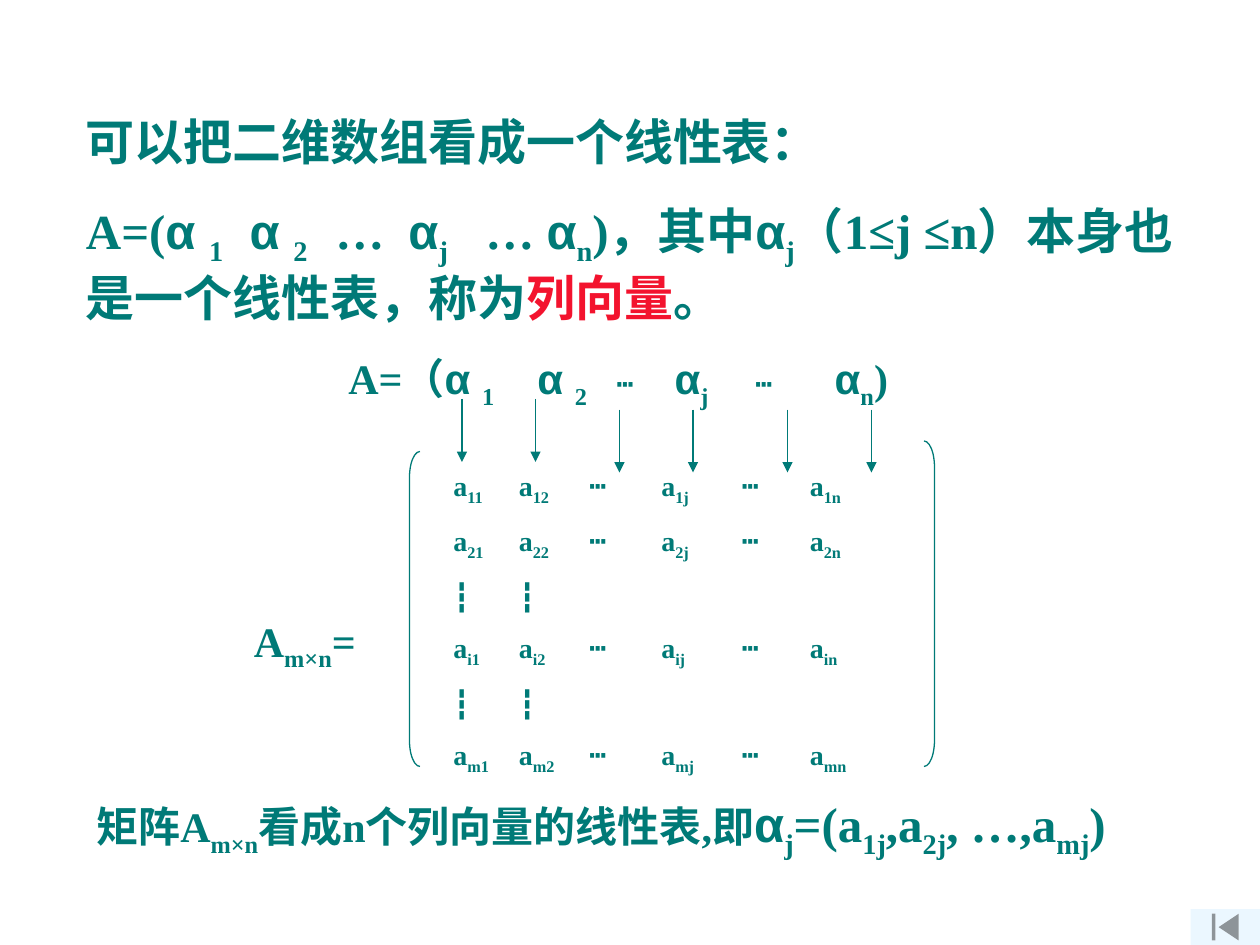
from lxml import etree
from pptx import Presentation
from pptx.dml.color import RGBColor
from pptx.enum.shapes import MSO_CONNECTOR, MSO_SHAPE
from pptx.oxml.ns import qn
from pptx.util import Inches, Pt

STRAIGHT = MSO_CONNECTOR.STRAIGHT
LEFT_BRACKET, RIGHT_BRACKET = MSO_SHAPE.LEFT_BRACKET, MSO_SHAPE.RIGHT_BRACKET
BACK_BUTTON = MSO_SHAPE.ACTION_BUTTON_BEGINNING

COLORS = {"teal": "007A77", "red": "F3132E", "button": "EBF7FF"}
LATIN, GREEK = "Times New Roman", "Arial"


def color(name):
    return RGBColor.from_string(COLORS[name])


def unit(cells):
    """The grid has 120 columns and 90 rows, twelve to the inch."""
    return Inches(cells / 12)


# Run styles: each is a dict that overrides the base style
def sub(text, **style):
    return text, {"sub": True, **style}


def alpha(index, gap="", **style):
    return [("α" + gap, {"font": GREEK, **style}), sub(index, **style)]


def entry(row, column):
    return ["a", sub(row + column)]


class MatrixSlide:
    def __init__(self, prs):
        self.shapes = prs.slides.add_slide(prs.slide_layouts[6]).shapes

    def text(self, box, paragraphs, size, space=0, tabs=()):
        frame = self.shapes.add_textbox(*map(unit, box)).text_frame
        frame.word_wrap = True
        for number, runs in enumerate(paragraphs):
            paragraph = frame.add_paragraph() if number else frame.paragraphs[0]
            if tabs:
                stops = etree.SubElement(paragraph._p.get_or_add_pPr(), qn("a:tabLst"))
                for stop in tabs:
                    etree.SubElement(stops, qn("a:tab"), pos=str(Inches(stop)), algn="l")
            if number:
                paragraph.space_before = Pt(space)
            for item in runs:
                words, style = (item, {}) if isinstance(item, str) else item
                self.run(paragraph, words, **{"size": size, **style})

    def run(self, paragraph, words, size, font=LATIN, ink="teal", sub=False):
        run = paragraph.add_run()
        run.text = words
        run.font.size, run.font.name, run.font.bold = Pt(size), font, True
        run.font.color.rgb = color(ink)
        if sub:
            run.font._element.set("baseline", "-25000")

    def bracket(self, kind, box):
        bracket = self.shapes.add_shape(kind, *map(unit, box))
        bracket.shadow.inherit = False
        bracket.adjustments[0] = 2.5
        bracket.fill.background()
        bracket.line.color.rgb = color("teal")
        bracket.line.width = Pt(0.75)

    def down_arrow(self, column, row, length=6):
        arrow = self.shapes.add_connector(
            STRAIGHT, unit(column), unit(row), unit(column), unit(row + length))
        arrow.line.color.rgb = color("teal")
        arrow.line.width = Pt(0.75)
        etree.SubElement(arrow.line._get_or_add_ln(), qn("a:tailEnd"), type="triangle")
        etree.SubElement(arrow._element.spPr, qn("a:effectLst"))

    def button(self, box):
        button = self.shapes.add_shape(BACK_BUTTON, *map(unit, box))
        button.shadow.inherit = False
        button.fill.solid()
        button.fill.fore_color.rgb = color("button")
        button.line.fill.background()


def matrix_row(row):
    cells = [entry(row, "1"), entry(row, "2"), ["┅"], entry(row, "j"), ["┅"], entry(row, "n")]
    return cells[0] + [run for cell in cells[1:] for run in ["\t", *cell]]


def main():
    prs = Presentation()
    prs.slide_width, prs.slide_height = unit(120), unit(90)
    slide = MatrixSlide(prs)

    # Return button in the corner
    slide.button((113.4, 86.6, 6.6, 3.4))

    # Matrix with its brackets and name
    slide.bracket(LEFT_BRACKET, (39, 43, 1, 30))
    slide.bracket(RIGHT_BRACKET, (88, 42, 1, 31))
    slide.text((23, 58, 15, 6.7), [["A", sub("m×n"), "="]], size=24)
    skipped_rows = ["┇\t┇"]
    slide.text((42, 44, 46, 30.5),
               [matrix_row("1"), matrix_row("2"), skipped_rows,
                matrix_row("i"), skipped_rows, matrix_row("m")],
               size=16, space=10, tabs=(0.52, 1.08, 1.65, 2.29, 2.83))

    # Row of column vectors, each pointing at its matrix column
    dots = ("\t┅\t", {"size": 16})
    slide.text((32, 33, 65, 6.7),
               [["A=（", *alpha("1", " "), "\t", *alpha("2", " "), dots,
                 *alpha("j"), dots, *alpha("n"), ")"]],
               size=24, tabs=(1.5, 2.13, 2.59, 3.23, 3.86))
    for column in (44, 51):
        slide.down_arrow(column, 38)
    for column in (59, 66, 75, 83):
        slide.down_arrow(column, 39)

    # Statement above the matrix
    slide.text((7, 10, 110, 21.7),
               [["可以把二维数组看成一个线性表："],
                ["A=(", *alpha("1", " "), "\t", *alpha("2", " "), "\t…\t",
                 *alpha("j"), "\t… ", *alpha("n"), ")，其中", *alpha("j"),
                 "（1≤j ≤n）本身也是一个线性表，称为",
                 ("列向量", {"ink": "red"}), "。"]],
               size=28, space=17.5, tabs=(1.3, 1.98, 2.56, 3.17))

    # Conclusion below the matrix
    big = {"size": 28}
    slide.text((8, 75, 107, 7.5),
               [["矩阵A", sub("m×n"), "看成n个列向量的线性表,即", *alpha("j", **big),
                 ("=(a", big), sub("1j", **big), (",a", big), sub("2j", **big),
                 (", …,a", big), sub("mj", **big), (")", big)]],
               size=24)

    prs.save("out.pptx")


if __name__ == "__main__":
    main()
